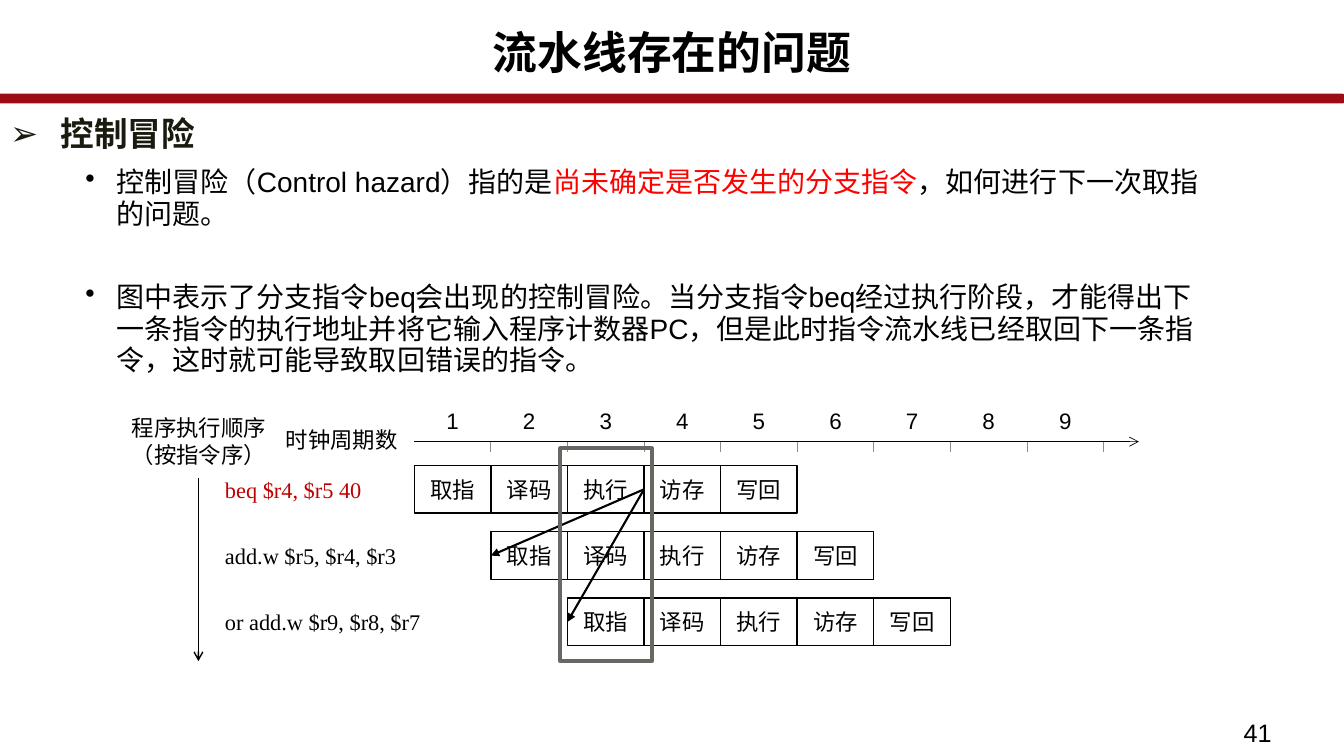
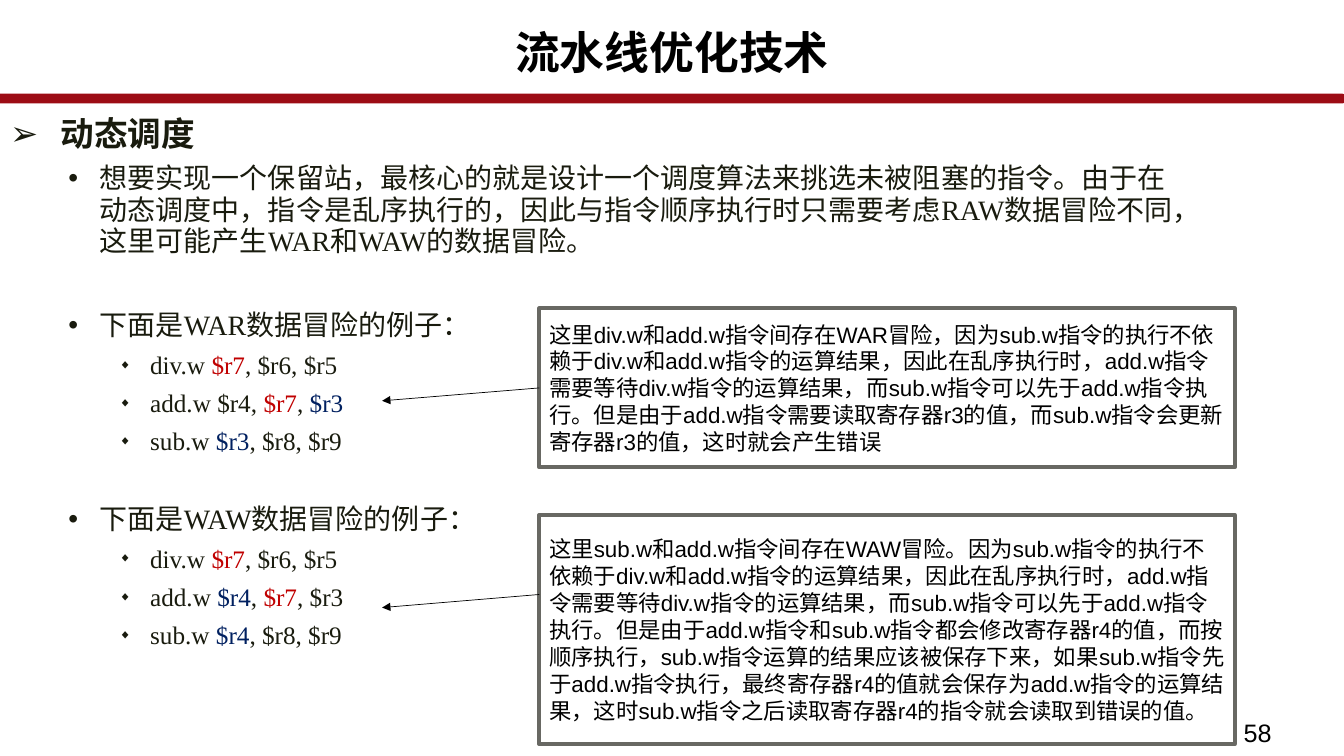
from lxml.etree import SubElement
from pptx import Presentation
from pptx.dml.color import RGBColor
from pptx.enum.shapes import MSO_CONNECTOR, MSO_SHAPE
from pptx.enum.text import MSO_ANCHOR, MSO_AUTO_SIZE, PP_ALIGN
from pptx.oxml.ns import qn
from pptx.util import Cm, Pt

# Shared look
BLACK, INK, GREY, TICK = "000000", "191B0E", "686863", "8C8D86"
BAND, RED, CRIMSON, NAVY = "9C0C15", "FF0000", "C00000", "002060"
SANS, SERIF = "Arial", "Times New Roman"
PAGE_WIDTH, PAGE_HEIGHT = 33.87, 19.05

# Per level: left margin, hanging indent (cm), bullet, bullet size %, size, space before
LEVELS = [
    (1.27, 1.27, "➢", 100, 24, 10),
    (2.26, 0.79, "•", 100, 20, 5),
    (3.53, 0.79, "◆", 50, 18, 5),
]


def rgb(value):
    return RGBColor.from_string(value)


def style(para, size, color=BLACK, name=SANS, bold=False):
    font = para.font
    font.size, font.name, font.bold = Pt(size), name, bold
    font.color.rgb = rgb(color)


def add_spans(para, spans):
    """Each span is plain text or a (text, colour) pair."""
    for item in spans:
        text, color = (item, None) if isinstance(item, str) else item
        span = para.add_run()
        span.text = text
        if color:
            span.font.color.rgb = rgb(color)


def fill_list(frame, items, color=INK, name=SANS):
    """Write (level, spans, extra space before) items as bulleted paragraphs."""
    frame.word_wrap = True
    frame.auto_size = MSO_AUTO_SIZE.NONE
    for index, (level, spans, gap) in enumerate(items):
        para = frame.add_paragraph() if index else frame.paragraphs[0]
        margin, hanging, bullet, percent, size, before = LEVELS[level]
        para.level = level
        properties = para._p.get_or_add_pPr()
        properties.set("marL", str(Cm(margin)))
        properties.set("indent", str(-Cm(hanging)))
        SubElement(properties, qn("a:buSzPct"), val=str(percent * 1000))
        SubElement(properties, qn("a:buChar"), char=bullet)
        para.line_spacing = 0.94
        para.space_before = Pt(before + gap if index else 0)
        para.space_after = Pt(2)
        heading = level == 0
        style(para, size, color, SANS if heading else name, heading)
        add_spans(para, spans)


def move(shape, left, top, width, height):
    shape.left, shape.top = Cm(left), Cm(top)
    shape.width, shape.height = Cm(width), Cm(height)


def add_label(page, text, left, top, width, height, size=16, align=PP_ALIGN.CENTER,
              anchor=MSO_ANCHOR.MIDDLE, color=BLACK, name=SANS, wrap=True):
    box = page.shapes.add_textbox(Cm(left), Cm(top), Cm(width), Cm(height))
    frame = box.text_frame
    frame.word_wrap, frame.vertical_anchor = wrap, anchor
    para = frame.paragraphs[0]
    para.text, para.alignment = text, align
    style(para, size, color, name)


def add_box(page, left, top, width, height, line, weight, fill=None,
            text=None, align=PP_ALIGN.CENTER, kind=MSO_SHAPE.RECTANGLE):
    box = page.shapes.add_shape(kind, Cm(left), Cm(top), Cm(width), Cm(height))
    box.shadow.inherit = False
    box.line.color.rgb, box.line.width = rgb(line), Pt(weight)
    if fill:
        box.fill.solid()
        box.fill.fore_color.rgb = rgb(fill)
    else:
        box.fill.background()
    if text:
        frame = box.text_frame
        frame.word_wrap, frame.vertical_anchor = True, MSO_ANCHOR.MIDDLE
        para = frame.paragraphs[0]
        para.text, para.alignment = text, align
        style(para, 16)
    return box


def add_line(page, start, end, weight, color=BLACK, head=None):
    line = page.shapes.add_connector(
        MSO_CONNECTOR.STRAIGHT, *(Cm(value) for value in (*start, *end)))
    line.line.color.rgb, line.line.width = rgb(color), Pt(weight)
    if head:
        SubElement(line.line._get_or_add_ln(), qn("a:tailEnd"), type=head)
    SubElement(line._element.spPr, qn("a:effectLst"))
    return line


def add_page(deck, title, number, body_width, items, name=SANS):
    """Title, red band, body list and page number."""
    page = deck.slides.add_slide(deck.slide_layouts[1])
    add_box(page, -0.03, 2.41, 33.88, 0.15, BAND, 2.75, BAND,
            kind=MSO_SHAPE.ROUNDED_RECTANGLE)

    heading = page.shapes.title
    move(heading, 0, 0.66, PAGE_WIDTH, 1.9)
    frame = heading.text_frame
    frame.vertical_anchor, frame.auto_size = MSO_ANCHOR.TOP, MSO_AUTO_SIZE.NONE
    para = frame.paragraphs[0]
    para.text, para.alignment, para.line_spacing = title, PP_ALIGN.CENTER, 0.89
    style(para, 32, bold=True)

    body = page.placeholders[1]
    move(body, 0, 2.79, body_width, 14.94)
    fill_list(body.text_frame, items, name=name)
    add_label(page, number, 31.09, 17.96, 2.77, 1.12, 18, PP_ALIGN.LEFT, MSO_ANCHOR.TOP)
    return page


def add_pipeline(page, left, top):
    """Clock axis, staggered instruction stages and hazard arrows."""
    stages = ["取指", "译码", "执行", "访存", "写回"]
    instructions = [("beq $r4, $r5 40", CRIMSON), ("add.w $r5, $r4, $r3", BLACK),
                    ("or add.w $r9, $r8, $r7", BLACK)]
    cell_width, cell_height, row_step = 1.93, 1.2, 1.67
    grid_left, grid_top, axis = left + 7.42, top + 1.73, top + 1.13

    # Captions and clock axis
    add_label(page, "时钟周期数", left + 2.67, top + 0.49, 5.84, 1.19)
    add_label(page, "程序执行顺序（按指令序）", left, top + 0.52, 3.99, 1.19)
    add_line(page, (grid_left, axis), (grid_left + 18.26, axis), 0.5, head="arrow")
    for cycle in range(1, 10):
        tick = grid_left + cycle * cell_width
        add_line(page, (tick, axis + 0.25), (tick, axis), 0.5, TICK)
        add_label(page, str(cycle), tick - cell_width, top, cell_width, 1.19)

    # Instructions, each one cycle later than the one before
    rows = []
    for row, (code, color) in enumerate(instructions):
        row_top = grid_top + row * row_step
        add_label(page, code, left + 2.4, row_top + 0.14, 5.5, 0.94, align=PP_ALIGN.LEFT,
                  anchor=MSO_ANCHOR.TOP, color=color, name=SERIF, wrap=False)
        rows.append([
            add_box(page, grid_left + (row + column) * cell_width, row_top,
                    cell_width, cell_height, BLACK, 1, text=stage)
            for column, stage in enumerate(stages)])

    # From the branch's execute stage to the later fetches
    for row in (1, 2):
        arrow = add_line(page, (0, 0), (1, 1), 1.5, head="triangle")
        arrow.begin_connect(rows[0][2], 3)
        arrow.end_connect(rows[row][0], 1)

    # Program order and highlighted cycle
    add_line(page, (left + 1.98, top + 2.04), (left + 1.98, top + 6.66), 1, head="arrow")
    add_box(page, left + 11.1, top + 1.3, 2.31, 5.36, GREY, 2.75)


def add_note(page, text, left, top, width, height, glue):
    """Framed explanation with an arrow to the code on its left."""
    note = add_box(page, left, top, width, height, GREY, 2.75, "FFFFFF", text, PP_ALIGN.LEFT)
    start = top + 2
    arrow = add_line(page, (left, start), (left - 3.96, start + 0.33), 0.5, head="triangle")
    if glue:
        arrow.begin_connect(note, 1)


def control_hazard_page(deck):
    page = add_page(deck, "流水线存在的问题", "41", 32.64, [(0, ["控制冒险"], 0)])
    box = page.shapes.add_textbox(Cm(0.43), Cm(4.09), Cm(30.1), Cm(6.63))
    fill_list(box.text_frame, [
        (1, ["控制冒险（Control hazard）指的是", ("尚未确定是否发生的分支指令", RED),
             "，如何进行下一次取指的问题。"], 0),
        (1, ["图中表示了分支指令beq会出现的控制冒险。当分支指令beq经过执行阶段，"
             "才能得出下一条指令的执行地址并将它输入程序计数器PC，"
             "但是此时指令流水线已经取回下一条指令，这时就可能导致取回错误的指令。"], 30),
    ], BLACK)
    add_pipeline(page, 3.02, 10)


def scheduling_page(deck):
    shared = ("$r7", CRIMSON)
    page = add_page(deck, "流水线优化技术", "58", 29.85, [
        (0, ["动态调度"], 0),
        (1, ["想要实现一个保留站，最核心的就是设计一个调度算法来挑选未被阻塞的指令。"
             "由于在动态调度中，指令是乱序执行的，因此与指令顺序执行时只需要考虑RAW"
             "数据冒险不同，这里可能产生WAR和WAW的数据冒险。"], 0),
        (1, ["下面是WAR数据冒险的例子："], 30),
        (2, ["div.w ", shared, ", $r6, $r5"], 0),
        (2, ["add.w $r4, ", shared, ", ", ("$r3", NAVY)], 0),
        (2, ["sub.w ", ("$r3", NAVY), ", $r8, $r9"], 0),
        (1, ["下面是WAW数据冒险的例子："], 27),
        (2, ["div.w ", shared, ", $r6, $r5"], 0),
        (2, ["add.w ", ("$r4", NAVY), ", ", shared, ", $r3"], 0),
        (2, ["sub.w ", ("$r4", NAVY), ", $r8, $r9"], 0),
    ], SERIF)
    common = ("因为sub.w指令的执行不依赖于div.w和add.w指令的运算结果，因此在乱序执行时，"
              "add.w指令需要等待div.w指令的运算结果，而sub.w指令可以先于add.w指令执行。")
    add_note(page, "这里div.w和add.w指令间存在WAR冒险，" + common +
             "但是由于add.w指令需要读取寄存器r3的值，而sub.w指令会更新寄存器r3的值，"
             "这时就会产生错误", 13.59, 7.77, 17.53, 4.01, True)
    add_note(page, "这里sub.w和add.w指令间存在WAW冒险。" + common +
             "但是由于add.w指令和sub.w指令都会修改寄存器r4的值，而按顺序执行，"
             "sub.w指令运算的结果应该被保存下来，如果sub.w指令先于add.w指令执行，"
             "最终寄存器r4的值就会保存为add.w指令的运算结果，"
             "这时sub.w指令之后读取寄存器r4的指令就会读取到错误的值。",
             13.59, 12.98, 17.53, 5.77, False)


def main():
    deck = Presentation()
    deck.slide_width, deck.slide_height = Cm(PAGE_WIDTH), Cm(PAGE_HEIGHT)
    control_hazard_page(deck)
    scheduling_page(deck)
    deck.save("out.pptx")


if __name__ == "__main__":
    main()
